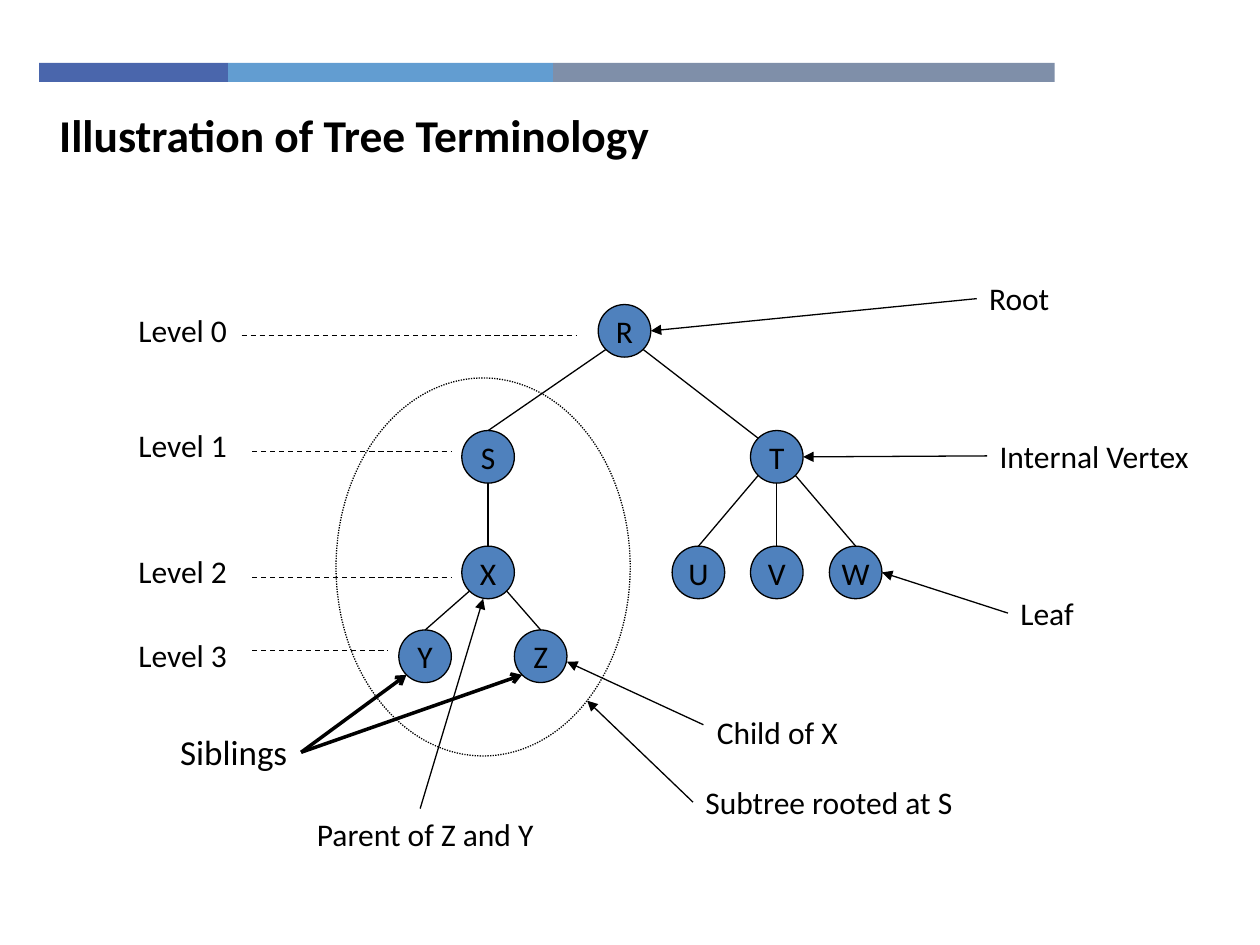
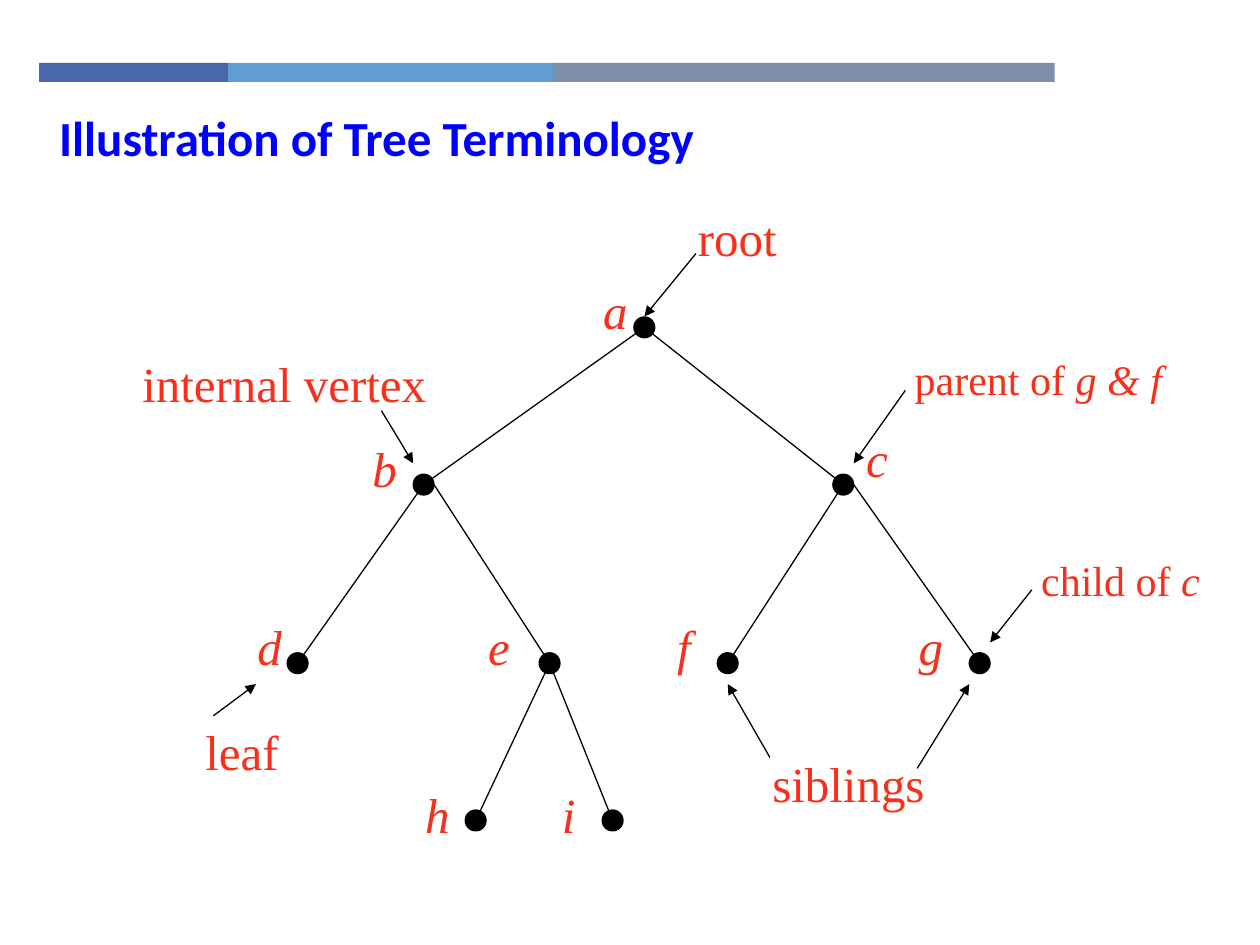
from math import sqrt

from lxml.etree import SubElement
from pptx import Presentation
from pptx.dml.color import RGBColor
from pptx.enum.dml import MSO_LINE
from pptx.enum.shapes import MSO_CONNECTOR, MSO_SHAPE
from pptx.enum.text import MSO_ANCHOR, MSO_AUTO_SIZE, PP_ALIGN
from pptx.oxml.ns import qn
from pptx.util import Cm, Pt

BLACK = RGBColor(0x00, 0x00, 0x00)
TITLE_BLUE = RGBColor(0x00, 0x00, 0xFF)
NODE_BLUE = RGBColor(0x4F, 0x81, 0xBD)
LABEL_RED = RGBColor(0xF8, 0x2F, 0x1A)
BANDS = [  # width in cm, colour
    (3.81, RGBColor(0x4A, 0x66, 0xAC)),
    (6.55, RGBColor(0x62, 0x9D, 0xD1)),
    (10.11, RGBColor(0x7F, 0x8F, 0xA9)),
]
SANS, SERIF = "Calibri", "Times New Roman"
TITLE = "Illustration of Tree Terminology"
NODE_SIZE, DOT_SIZE = 1.06, 0.42

# Directions from a node's centre to its rim
DIAGONAL = sqrt(0.5)
TOP, BOTTOM, RIGHT = (0, -1), (0, 1), (1, 0)
TOP_LEFT = (-DIAGONAL, -DIAGONAL)
BOTTOM_LEFT, BOTTOM_RIGHT = (-DIAGONAL, DIAGONAL), (DIAGONAL, DIAGONAL)
# Connection sites of a text box
TEXT_LEFT, TEXT_RIGHT = 1, 3


def add_run(paragraph, text, size, font, color, bold=False, italic=False):
    run = paragraph.add_run()
    run.text = text
    run.font.size = Pt(size)
    run.font.name = font
    run.font.color.rgb = color
    run.font.bold = bold
    run.font.italic = italic


def add_titled_slide(prs, size, color):
    """Title-only slide with the three-part band above its title."""
    slide = prs.slides.add_slide(prs.slide_layouts[5])
    left = 0.79
    for width, band_color in BANDS:
        band = slide.shapes.add_shape(
            MSO_SHAPE.RECTANGLE, Cm(left), Cm(1.27), Cm(width), Cm(0.38))
        band.shadow.inherit = False
        band.fill.solid()
        band.fill.fore_color.rgb = band_color
        band.line.fill.background()
        left += width

    title = slide.shapes.title
    title.left, title.top = Cm(0.94), Cm(2.03)
    title.width, title.height = Cm(18.19), Cm(1.37)
    frame = title.text_frame
    frame.auto_size = MSO_AUTO_SIZE.NONE
    frame.vertical_anchor = MSO_ANCHOR.TOP
    frame.paragraphs[0].alignment = PP_ALIGN.LEFT
    add_run(frame.paragraphs[0], TITLE, size, SANS, color, bold=True)
    return slide


def add_ellipse(slide, center, width, height, fill=None):
    x, y = center
    ellipse = slide.shapes.add_shape(
        MSO_SHAPE.OVAL, Cm(x - width / 2), Cm(y - height / 2), Cm(width), Cm(height))
    ellipse.shadow.inherit = False
    if fill is None:
        ellipse.fill.background()
    else:
        ellipse.fill.solid()
        ellipse.fill.fore_color.rgb = fill
    ellipse.line.color.rgb = BLACK
    ellipse.line.width = Pt(0.75)
    return ellipse


def add_node(slide, center, name):
    node = add_ellipse(slide, center, NODE_SIZE, NODE_SIZE, NODE_BLUE)
    frame = node.text_frame
    frame.word_wrap = False
    frame.vertical_anchor = MSO_ANCHOR.MIDDLE
    frame.paragraphs[0].alignment = PP_ALIGN.CENTER
    add_run(frame.paragraphs[0], name, 18, SANS, BLACK)
    return node


def add_label(slide, place, height, runs, size, font, color, wrap=True):
    """Place is left, top, width; runs are pairs of text and italic."""
    left, top, width = place
    label = slide.shapes.add_textbox(Cm(left), Cm(top), Cm(width), Cm(height))
    label.text_frame.word_wrap = wrap
    for text, italic in runs:
        add_run(label.text_frame.paragraphs[0], text, size, font, color, italic=italic)
    return label


def add_sans_label(slide, text, place, size=18, height=1.02):
    return add_label(slide, place, height, [(text, False)], size, SANS, BLACK, wrap=False)


def add_serif_label(slide, place, *runs, size=28, height=1.45):
    return add_label(slide, place, height, runs, size, SERIF, LABEL_RED)


def add_line(slide, start, end, width=0.75, dash=None, head=None):
    line = slide.shapes.add_connector(
        MSO_CONNECTOR.STRAIGHT, *(Cm(value) for value in (*start, *end)))
    line.line.color.rgb = BLACK
    line.line.width = Pt(width)
    if dash is not None:
        line.line.dash_style = dash
    properties = line.element.spPr
    if head:
        SubElement(properties.find(qn("a:ln")), qn("a:tailEnd"), type=head)
    SubElement(properties, qn("a:effectLst"))
    return line


def add_label_arrow(slide, label, site, end, width=0.75, head="triangle"):
    """Arrow that is joined to the middle of a label's side."""
    arrow = add_line(slide, end, end, width, head=head)
    arrow.begin_connect(label, site)


def rim(center, direction, width=NODE_SIZE, height=NODE_SIZE):
    return (center[0] + direction[0] * width / 2,
            center[1] + direction[1] * height / 2)


def build_level_tree(prs):
    slide = add_titled_slide(prs, 26, BLACK)

    # Nodes
    centers = {
        "R": (12.59, 6.67), "S": (9.84, 9.21), "Y": (8.57, 13.23),
        "Z": (10.9, 13.23), "X": (9.84, 11.54), "T": (15.66, 9.21),
        "U": (14.08, 11.54), "V": (15.66, 11.54), "W": (17.25, 11.54),
    }
    nodes = {name: add_node(slide, center, name) for name, center in centers.items()}

    # Edges
    edges = [
        ("R", BOTTOM_LEFT, "S", TOP), ("R", BOTTOM_RIGHT, "T", TOP_LEFT),
        ("S", BOTTOM, "X", TOP), ("X", BOTTOM_LEFT, "Y", TOP),
        ("X", BOTTOM_RIGHT, "Z", TOP), ("T", BOTTOM_LEFT, "U", TOP),
        ("T", BOTTOM, "V", TOP), ("T", BOTTOM_RIGHT, "W", TOP),
    ]
    for parent, leaving, child, arriving in edges:
        edge = add_line(slide, rim(centers[parent], leaving), rim(centers[child], arriving))
        if arriving == TOP:
            edge.end_connect(nodes[child], 0)

    # Subtree outline
    subtree_center, subtree_size = (9.74, 11.43), (5.93, 7.62)
    subtree = add_ellipse(slide, subtree_center, *subtree_size)
    subtree.line.dash_style = MSO_LINE.ROUND_DOT

    # Terms whose arrow leaves the left side of the label
    terms = [
        ("Root", (19.69, 5.51, 1.75), rim(centers["R"], RIGHT)),
        ("Internal Vertex", (19.9, 8.68, 4.37), rim(centers["T"], RIGHT)),
        ("Leaf", (20.32, 11.85, 1.68), rim(centers["W"], RIGHT)),
        ("Subtree rooted at S", (13.97, 15.66, 6.99),
         rim(subtree_center, BOTTOM_RIGHT, *subtree_size)),
    ]
    for text, place, target in terms:
        add_label_arrow(slide, add_sans_label(slide, text, place), TEXT_LEFT, target)

    # Relations of X
    add_sans_label(slide, "Child of X", (14.2, 14.25, 3.23))
    add_line(slide, (14.18, 14.61), (11.43, 13.34), head="triangle")
    add_sans_label(slide, "Parent of Z and Y", (6.14, 16.3, 5.05))
    add_line(slide, (8.47, 16.3), (9.74, 12.07), head="triangle")

    # Siblings
    siblings = add_sans_label(slide, "Siblings", (3.38, 14.61, 2.69), 20, 1.11)
    for name in "YZ":
        add_label_arrow(slide, siblings, TEXT_RIGHT,
                        rim(centers[name], BOTTOM_LEFT), 2, "arrow")

    # Levels: label top, then the dashed guide's left, right and height
    levels = [(6.14, 4.87, 11.64, 6.77), (8.47, 5.08, 9.1, 9.1),
              (11, 5.08, 9.1, 11.64), (12.7, 5.08, 7.83, 13.12)]
    for number, (top, left, right, y) in enumerate(levels):
        add_sans_label(slide, f"Level {number}", (2.54, top, 2.44))
        add_line(slide, (left, y), (right, y), dash=MSO_LINE.DASH)


def build_dot_tree(prs):
    slide = add_titled_slide(prs, 28, TITLE_BLUE)

    # Vertices: centre of the dot, corner of the letter
    vertices = {
        "a": ((12.99, 6.6), (11.91, 5.54)),
        "b": ((8.54, 9.77), (7.26, 8.71)),
        "c": ((17, 9.77), (17.21, 8.51)),
        "d": ((6, 13.37), (4.94, 12.31)),
        "e": ((11.08, 13.37), (9.59, 12.31)),
        "f": ((14.67, 13.37), (13.4, 12.31)),
        "g": ((19.75, 13.37), (18.27, 12.31)),
        "h": ((9.59, 16.54), (8.32, 15.7)),
        "i": ((12.35, 16.54), (11.08, 15.7)),
    }
    for letter, (center, corner) in vertices.items():
        add_ellipse(slide, center, DOT_SIZE, DOT_SIZE, BLACK)
        add_serif_label(slide, (*corner, 1.06), (letter, True))

    # Edges; two of them leave the right rim of their parent
    for parent, child in ("ab", "ac", "bd", "be", "cf", "cg", "eh", "ei"):
        start = vertices[parent][0]
        if parent + child in ("be", "cg"):
            start = rim(start, RIGHT, DOT_SIZE, DOT_SIZE)
        add_line(slide, start, vertices[child][0])

    # Terms
    add_serif_label(slide, (13.82, 4.06, 4.88), ("root", False))
    add_serif_label(slide, (2.62, 7.01, 6.78), ("internal vertex", False))
    add_serif_label(slide, (3.89, 14.43, 2.34), ("leaf", False))
    add_serif_label(slide, (15.32, 15.06, 4.65), ("siblings", False))
    add_serif_label(slide, (18.19, 7.01, 6.2), ("parent of ", False), ("g & f", True),
                    size=24, height=1.3)
    add_serif_label(slide, (20.74, 11.05, 4.6), ("child of ", False), ("c", True),
                    size=24, height=1.3)

    # Arrows from the terms to the vertices
    arrows = [
        ((14.03, 5.11), (12.99, 6.38)),   # root
        ((7.69, 8.28), (8.33, 9.34)),     # internal vertex
        ((4.3, 14.43), (5.16, 13.79)),    # leaf
        ((15.52, 15.27), (14.67, 13.79)),  # siblings
        ((18.49, 15.49), (19.54, 13.79)),
        ((18.25, 7.87), (17.21, 9.34)),   # parent
        ((20.8, 11.89), (19.96, 12.95)),  # child
    ]
    for start, end in arrows:
        add_line(slide, start, end, head="triangle")


def main():
    prs = Presentation()
    prs.slide_width, prs.slide_height = Cm(25.4), Cm(19.05)
    build_level_tree(prs)
    build_dot_tree(prs)
    prs.save("out.pptx")


if __name__ == "__main__":
    main()
